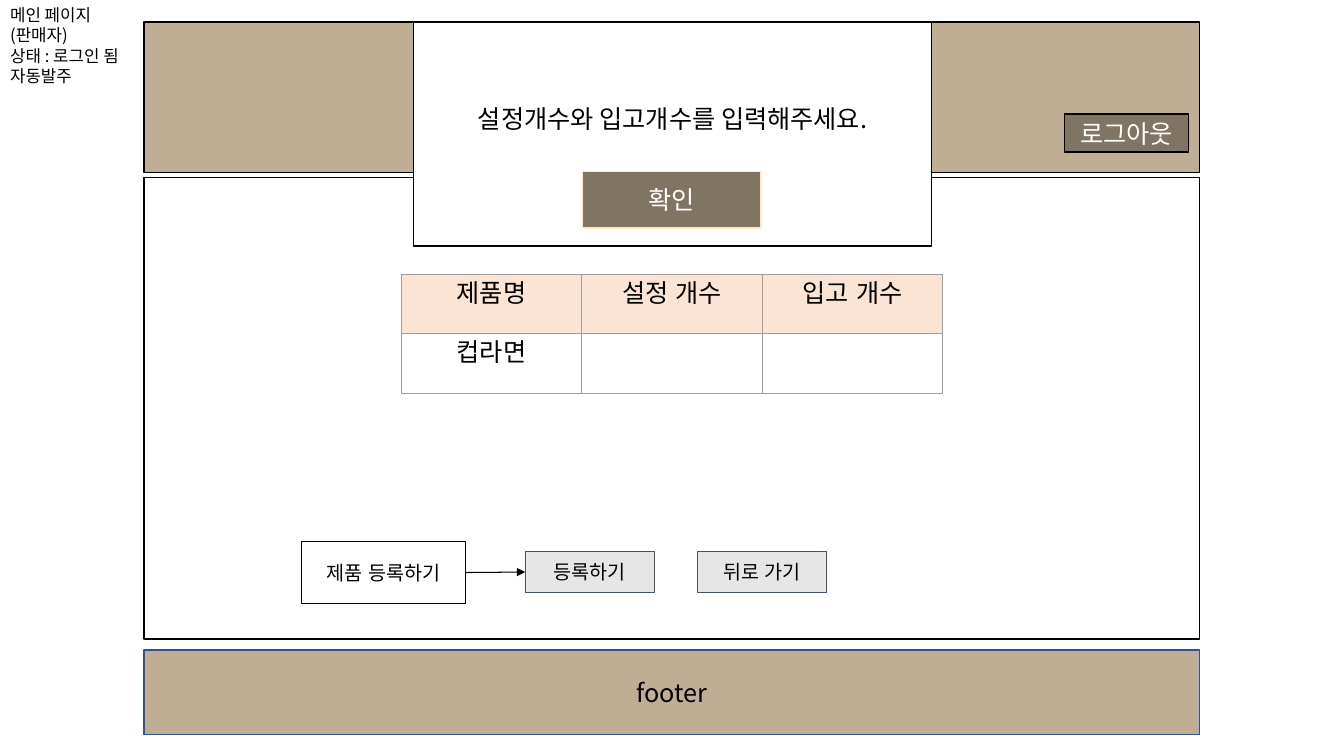
import pptx
import pptx.util
import pptx.dml.color
import pptx.enum.shapes
import pptx.enum.text
import pptx.oxml.ns
import lxml.etree


class Theme:
    sans, plain = "Noto Sans CJK KR", "Arial"
    big, mid, small = 18, 14, 12
    black, white = "000000", "FFFFFF"
    tan, brown, cream = "BFAE93", "807462", "FFEBC4"
    gray, slate, navy = "E7E6E6", "44546A", "31538F"
    peach, rule = "FBE4D4", "9E9E9E"


rgb = pptx.dml.color.RGBColor.from_string
tag = pptx.oxml.ns.qn
align = pptx.enum.text.PP_ALIGN
deck = pptx.Presentation()
deck.slide_width = pptx.util.Inches(13.33)
deck.slide_height = pptx.util.Inches(7.5)
# One grid step is a hundredth of the slide's width or height
col, row = deck.slide_width / 100, deck.slide_height / 100
slide = deck.slides.add_slide(deck.slide_layouts[5])


def write(frame, text, size, color, font, side=align.CENTER):
    frame.text = text
    for para in frame.paragraphs:
        para.alignment = side
        for run in para.runs:
            run.font.size = pptx.util.Pt(size)
            run.font.color.rgb = rgb(color)
            run.font.name = font
            east = lxml.etree.SubElement(run.font._element, tag("a:ea"))
            east.set("typeface", font)


def box(place, fill, line, width, text="", size=Theme.big,
        color=Theme.black, font=Theme.sans):
    x, y, w, h = place
    shape = slide.shapes.add_shape(
        pptx.enum.shapes.MSO_SHAPE.RECTANGLE,
        int(x * col), int(y * row), int(w * col), int(h * row))
    shape.shadow.inherit = False
    shape.fill.solid()
    shape.fill.fore_color.rgb = rgb(fill)
    shape.line.color.rgb = rgb(line)
    shape.line.width = pptx.util.Pt(width)
    shape.text_frame.word_wrap = True
    shape.text_frame.vertical_anchor = pptx.enum.text.MSO_ANCHOR.MIDDLE
    if text:
        write(shape.text_frame, text, size, color, font)
    return shape


# Page label
label = slide.shapes.title
label.left, label.top = 0, 0
label.width, label.height = int(10.73 * col), int(12 * row)
frame = label.text_frame
frame.word_wrap = True
frame.auto_size = pptx.enum.text.MSO_AUTO_SIZE.NONE
frame.vertical_anchor = pptx.enum.text.MSO_ANCHOR.TOP
write(frame, "메인 페이지\n(판매자)\n상태 : 로그인 됨\n자동발주",
      Theme.small, Theme.black, Theme.sans, align.LEFT)

# Page frame: header, logout, body, footer
left, wide = 10.73, 78.54
box((left, 2.93, wide, 19.87), Theme.tan, Theme.black, 1)
box((79.22, 15.07, 9.23, 5.07), Theme.brown, Theme.black, 1,
    "로그아웃", color=Theme.white)
box((left, 23.47, wide, 61.07), Theme.white, Theme.black, 1)
box((left, 86, wide, 11.2), Theme.tan, Theme.navy, 1, "footer")

# Action buttons
send, back = [
    box((x, 72.93, 9.6, 5.47), Theme.gray, Theme.slate, 0.75,
        text, Theme.mid, font=Theme.plain)
    for x, text in ((39.08, "등록하기"), (51.91, "뒤로 가기"))]

# Product table
goods = [["제품명", "설정 개수", "입고 개수"], ["컵라면", "", ""]]
table = slide.shapes.add_table(
    2, 3, int(29.86 * col), int(36.27 * row),
    int(40.29 * col), int(15.74 * row)).table
table.first_row = table.horz_banding = False
for band in table.rows:
    band.height = int(7.87 * row)
for lane in table.columns:
    lane.width = int(13.43 * col)
for r, line in enumerate(goods):
    for c, text in enumerate(line):
        cell = table.cell(r, c)
        props = cell._tc.get_or_add_tcPr()
        for side in ("lnL", "lnR", "lnT", "lnB"):
            edge = lxml.etree.SubElement(
                props, tag("a:" + side), w=str(pptx.util.Pt(0.75)))
            paint = lxml.etree.SubElement(edge, tag("a:solidFill"))
            lxml.etree.SubElement(paint, tag("a:srgbClr"), val=Theme.rule)
        cell.fill.solid()
        cell.fill.fore_color.rgb = rgb(Theme.white if r else Theme.peach)
        if text:
            write(cell.text_frame, text, Theme.big, Theme.black, Theme.plain)

# Alert with its button
alert = box((30.76, 2.93, 38.56, 29.6), Theme.white, Theme.black, 1,
            "설정개수와 입고개수를 입력해주세요.")
alert.text_frame.margin_bottom = int(4.8 * row)
box((43.36, 22.67, 13.28, 7.47), Theme.brown, Theme.cream, 1,
    "확인", color=Theme.white)

# Register step, with an arrow to its button
step = box((22.43, 71.6, 12.23, 8.27), Theme.white, Theme.black, 0.75,
           "제품 등록하기", Theme.mid, font=Theme.plain)
arrow = slide.shapes.add_connector(
    pptx.enum.shapes.MSO_CONNECTOR.STRAIGHT, 0, 0, 0, 0)
arrow.begin_connect(step, 3)
arrow.end_connect(send, 1)
arrow.line.color.rgb = rgb(Theme.black)
arrow.line.width = pptx.util.Pt(0.75)
lxml.etree.SubElement(arrow.line._get_or_add_ln(), tag("a:tailEnd"),
                      type="triangle")
lxml.etree.SubElement(arrow._element.spPr, tag("a:effectLst"))

deck.save("out.pptx")
